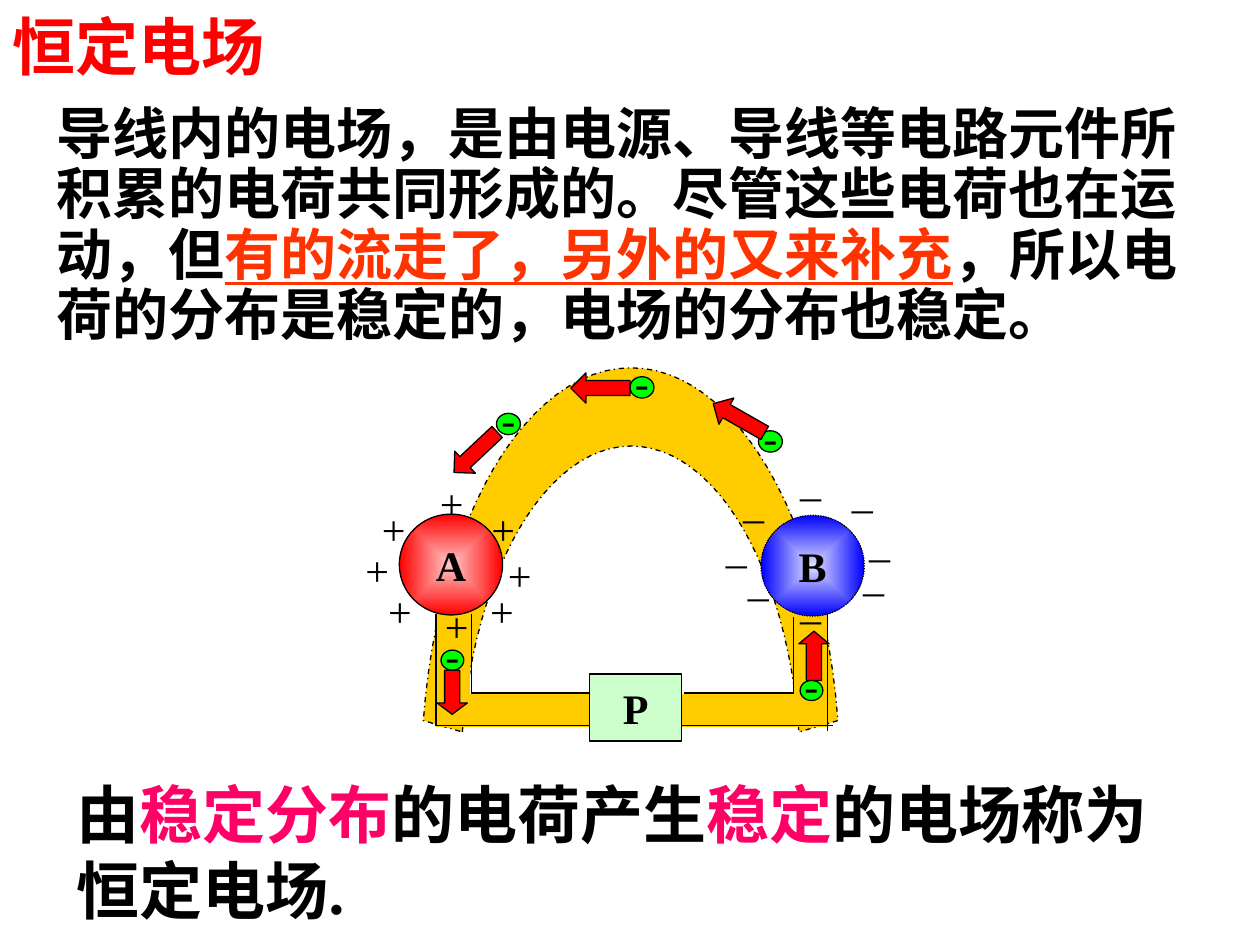
from lxml.etree import SubElement
from pptx import Presentation
from pptx.dml.color import RGBColor
from pptx.enum.dml import MSO_LINE_DASH_STYLE as Dash
from pptx.enum.shapes import MSO_CONNECTOR, MSO_SHAPE as Shape
from pptx.enum.text import MSO_ANCHOR as Anchor, MSO_AUTO_SIZE as AutoSize, PP_ALIGN as Align
from pptx.oxml.ns import qn
from pptx.util import Pt

THEME = {
    "font": "Times New Roman",
    "title": 36, "body": 32, "label": 24, "line": 0.75,
    "black": "000000", "red": "FF0000", "orange": "FF3300", "pink": "FF0066",
    "wire": "FFCC00", "electron": "00FF00", "load": "CCFFCC",
    "positive": ("FFC6C6", "FF0000"), "negative": ("DFDFFF", "0000FF"),
}

TITLE = "恒定电场"
BODY = [
    ("导线内的电场，是由电源、导线等电路元件所积累的电荷共同形成的。尽管这些电荷也在运动，但", "black", False),
    ("有的流走了，另外的又来补充", "orange", True),
    ("，所以电荷的分布是稳定的，电场的分布也稳定。", "black", False),
]
CONCLUSION = [
    ("由", "black", False), ("稳定分布", "pink", False), ("的电荷产生", "black", False),
    ("稳定", "pink", False), ("的电场称为恒定电场.", "black", False),
]

INNER_ARC = [
    [(264.2, 418.3), (271.4, 324.7), (312.5, 254.9), (360.7, 254.9)],
    [(360.7, 254.9), (409, 254.9), (450, 324.7), (456.5, 418.3)],
]
OUTER_ARC = [
    [(478.8, 411.8), (470.2, 295.9), (419.8, 210.2), (360.7, 210.2)],
    [(360.7, 210.2), (301, 210.2), (250.6, 295.9), (241.9, 411.8)],
]
WIRES = [
    (249.1, 396.7, 87.8, 18.7), (388.8, 396.7, 84.2, 18.7),
    (249.1, 350.6, 19.4, 49), (453.6, 344.9, 19.4, 51.8),
]
WIRE_EDGES = [
    (453.6, 352.8, 453.6, 396.7), (473, 347.8, 473, 417.6),
    (391, 396, 453.6, 396), (388.1, 414.7, 475.9, 414.7),
    (249.1, 350.6, 249.1, 414.7), (269.3, 350.6, 269.3, 396.7),
    (269.3, 396, 337, 396), (249.1, 414.7, 337, 414.7),
]
TERMINALS = [
    ("A", (228.2, 293.8, 59, 57.6), "positive", Dash.SOLID),
    ("B", (434.9, 294.5, 59, 57.6), "negative", Dash.ROUND_DOT),
]
LOAD = ("P", (337, 385.2, 52.6, 38.2))
CHARGES = {
    "+": [(261, 339.8), (258.1, 269.3), (215.6, 307.4), (297, 310.3),
          (286.9, 331.2), (228.6, 331.2), (225, 284.4), (287.6, 284.4)],
    "_": [(502.6, 290.9), (499.3, 310.3), (492.8, 262.8), (420.8, 294.5),
          (463.3, 326.2), (433.4, 313.2), (463.3, 256.3), (430.6, 268.6)],
}
CHARGE_W, CHARGE_H = 31, 36
ELECTRONS = [
    (360, 215.3, 13.7, 12.2), (283.7, 236.2, 13.7, 12.2), (433.4, 246.2, 13.7, 12.2),
    (252, 371.5, 13, 11.5), (457.2, 388.8, 13, 11.5),
]
ARROWS = [
    (Shape.DOWN_ARROW, (249.8, 383, 17.3, 25.2), 0, 0.375),
    (Shape.UP_ARROW, (456.5, 360.7, 17.3, 28.1), 0, 0.415),
    (Shape.LEFT_ARROW, (405.4, 230.4, 33.8, 17.3), 29.7, 0.5),
    (Shape.LEFT_ARROW, (326.2, 213.1, 33.8, 17.3), 0, 0.5),
    (Shape.LEFT_ARROW, (254.9, 249.8, 33.8, 17.3), 316.8, 0.5),
]


def color(name):
    return RGBColor.from_string(THEME[name])


def points(values):
    return [Pt(v) for v in values]


def set_font(font, size, name="black", bold=False):
    font.name, font.size, font.bold = THEME["font"], Pt(size), bold
    font.color.rgb = color(name)


def outline(line, dash=Dash.SOLID):
    line.color.rgb = color("black")
    line.width = Pt(THEME["line"])
    line.dash_style = dash


def add_shape(shapes, kind, box, fill, edged=True):
    sp = shapes.add_shape(kind, *points(box))
    sp.shadow.inherit = False
    sp.fill.solid()
    sp.fill.fore_color.rgb = color(fill)
    if edged:
        outline(sp.line)
    else:
        sp.line.fill.background()
    return sp


def add_label(sp, text, bold=False):
    tf = sp.text_frame
    tf.word_wrap = False
    tf.vertical_anchor = Anchor.MIDDLE
    p = tf.paragraphs[0]
    p.text, p.alignment = text, Align.CENTER
    set_font(p.font, THEME["label"], bold=bold)
    return tf


def radial_fill(sp, names):
    sp.fill.gradient()
    for stop, value in zip(sp.fill.gradient_stops, names):
        stop.color.rgb = RGBColor.from_string(value)
    grad = sp._element.spPr.find(qn("a:gradFill"))
    grad.remove(grad.find(qn("a:lin")))
    center = SubElement(grad, qn("a:path"), path="rect")
    SubElement(center, qn("a:fillToRect"), l="50000", t="50000", r="50000", b="50000")


def sample(curve, steps=24):
    for i in range(steps + 1):
        t = i / steps
        weights = ((1 - t) ** 3, 3 * t * (1 - t) ** 2, 3 * t * t * (1 - t), t ** 3)
        yield tuple(Pt(sum(w * pt[axis] for w, pt in zip(weights, curve))) for axis in (0, 1))


def add_arch(shapes):
    start, *rest = [pt for curve in INNER_ARC + OUTER_ARC for pt in sample(curve)]
    builder = shapes.build_freeform(*start)
    builder.add_line_segments(rest, close=True)
    sp = builder.convert_to_shape()
    sp.shadow.inherit = False
    sp.fill.solid()
    sp.fill.fore_color.rgb = color("wire")
    outline(sp.line, Dash.DASH_DOT)


def add_rich_text(shapes, box, runs, size):
    tf = shapes.add_textbox(*points(box)).text_frame
    tf.word_wrap = True
    p = tf.paragraphs[0]
    for text, name, underline in runs:
        r = p.add_run()
        r.text = text
        set_font(r.font, size, name, True)
        r.font.underline = underline
    return p


def add_circuit(shapes):
    add_arch(shapes)
    for box in WIRES:
        add_shape(shapes, Shape.RECTANGLE, box, "wire", edged=False)
    for ends in WIRE_EDGES:
        edge = shapes.add_connector(MSO_CONNECTOR.STRAIGHT, *points(ends))
        outline(edge.line)
        SubElement(edge._element.spPr, qn("a:effectLst"))
    for text, box, fill, dash in TERMINALS:
        sp = add_shape(shapes, Shape.OVAL, box, "red")
        radial_fill(sp, THEME[fill])
        outline(sp.line, dash)
        add_label(sp, text, bold=True)
    text, box = LOAD
    add_label(add_shape(shapes, Shape.RECTANGLE, box, "load"), text, bold=True)
    for sign, places in CHARGES.items():
        for center, top in places:
            box = (center - CHARGE_W / 2, top, CHARGE_W, CHARGE_H)
            tf = add_label(shapes.add_textbox(*points(box)), sign)
            tf.vertical_anchor = Anchor.TOP
    for box in ELECTRONS:
        tf = add_label(add_shape(shapes, Shape.OVAL, box, "electron"), "-")
        tf.margin_top, tf.margin_bottom = Pt(-1), Pt(5)
    for kind, box, angle, head in ARROWS:
        sp = add_shape(shapes, kind, box, "red")
        sp.adjustments[0], sp.adjustments[1] = 0.5, head
        sp.rotation = angle


def main():
    prs = Presentation()
    prs.slide_width, prs.slide_height = Pt(720), Pt(540)
    s = prs.slides.add_slide(prs.slide_layouts[5])
    title = s.shapes.title
    title.left, title.top, title.width, title.height = points((0, 0.7, 184.3, 50.4))
    tf = title.text_frame
    tf.auto_size, tf.vertical_anchor = AutoSize.NONE, Anchor.TOP
    p = tf.paragraphs[0]
    p.text, p.alignment = TITLE, Align.LEFT
    set_font(p.font, THEME["title"], "red", True)
    add_circuit(s.shapes)
    body = add_rich_text(s.shapes, (25.2, 56.9, 671.8, 145.4), BODY, THEME["body"])
    body.line_spacing = 0.9
    add_rich_text(s.shapes, (36.7, 439.9, 646.6, 93.6), CONCLUSION, THEME["title"])
    prs.save("out.pptx")


if __name__ == "__main__":
    main()
